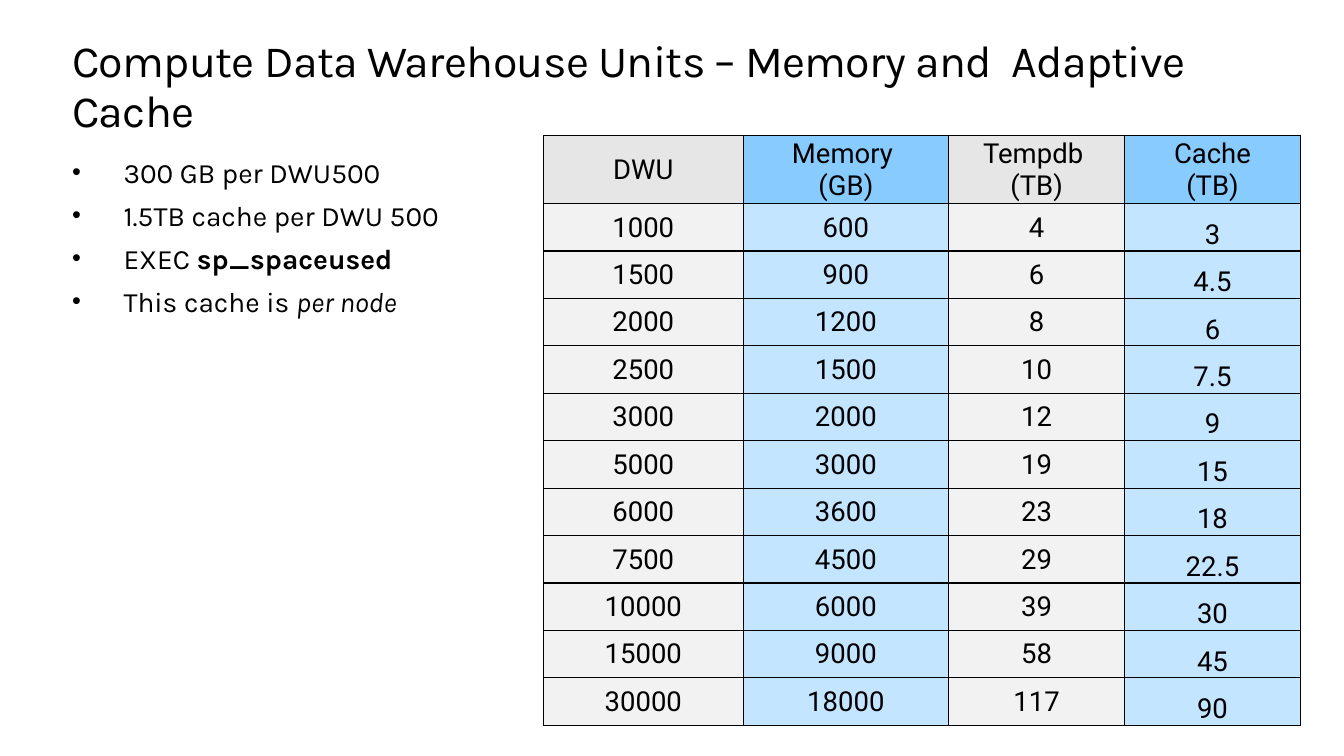
from pptx import Presentation
from pptx.dml.color import RGBColor
from pptx.enum.text import MSO_ANCHOR as Anchor, MSO_AUTO_SIZE as AutoSize, PP_ALIGN as Align
from pptx.oxml import parse_xml
from pptx.oxml.ns import nsdecls
from pptx.util import Inches, Pt

BLACK, WHITE = "000000", "FFFFFF"
HEADER_FILLS = ["E6E6E6", "88CBFF"]
BODY_FILLS = ["F2F2F2", "C3E5FF"]

TITLE = "Compute Data Warehouse Units – Memory and  Adaptive Cache"
BULLETS = [
    [("300 GB per DWU500", {})],
    [("1.5TB cache per DWU 500", {})],
    [("EXEC ", {}), ("sp_spaceused", {"bold": True})],
    [("This cache is ", {}), ("per node", {"italic": True})],
]
COLUMN_WIDTHS = [2.02, 2.08, 1.78, 1.78]
HEADER_HEIGHT, ROW_HEIGHT = 0.69, 0.48
CAPACITY = [
    ["DWU", "Memory \n(GB)", "Tempdb \n(TB)", "Cache\n(TB)"],
    ["1000", "600", "4", "3"],
    ["1500", "900", "6", "4.5"],
    ["2000", "1200", "8", "6"],
    ["2500", "1500", "10", "7.5"],
    ["3000", "2000", "12", "9"],
    ["5000", "3000", "19", "15"],
    ["6000", "3600", "23", "18"],
    ["7500", "4500", "29", "22.5"],
    ["10000", "6000", "39", "30"],
    ["15000", "9000", "58", "45"],
    ["30000", "18000", "117", "90"],
]


def color(hex_value):
    return RGBColor.from_string(hex_value)


def assign(target, values):
    for name, value in values.items():
        setattr(target, name, value)


def box(left, top, width, height):
    return dict(left=Inches(left), top=Inches(top), width=Inches(width), height=Inches(height))


def add_xml(parent, xml):
    tag_end = min(i for i in (xml.find(" "), xml.find(">"), xml.find("/>")) if i > 0)
    parent.append(parse_xml(f"{xml[:tag_end]} {nsdecls('a')}{xml[tag_end:]}"))


class SlideBuilder:
    """Holds the text style and the current slide, and adds its elements."""

    margins = dict(margin_left=0, margin_top=0, margin_right=0, margin_bottom=0)

    def __init__(self, slide):
        self.slide = slide
        self.heading = dict(name="Karla", size=Pt(32.6))
        self.body = dict(name="Karla", size=Pt(20.4))
        self.cell = dict(name="Roboto", size=Pt(20))

    def run(self, paragraph, text, style):
        run = paragraph.add_run()
        run.text = text
        assign(run.font, style)
        run.font.color.rgb = color(BLACK)
        return run

    def title(self, text, place):
        shape = self.slide.shapes.title
        assign(shape, place)
        shape.fill.solid()
        shape.fill.fore_color.rgb = color(WHITE)
        frame = shape.text_frame
        assign(frame, dict(self.margins, word_wrap=True, vertical_anchor=Anchor.TOP,
                           auto_size=AutoSize.SHAPE_TO_FIT_TEXT))
        paragraph = frame.paragraphs[0]
        assign(paragraph, dict(alignment=Align.LEFT, line_spacing=Pt(36.9)))
        run = self.run(paragraph, text, self.heading)
        run._r.get_or_add_rPr().set("spc", "-50")

    def bullets(self, items, place):
        shape = self.slide.placeholders[1]
        assign(shape, place)
        frame = shape.text_frame
        assign(frame, dict(self.margins, word_wrap=True, vertical_anchor=Anchor.TOP,
                           auto_size=AutoSize.NONE))
        for index, parts in enumerate(items):
            paragraph = frame.add_paragraph() if index else frame.paragraphs[0]
            properties = paragraph._p.get_or_add_pPr()
            properties.set("marL", str(Inches(0.52)))
            properties.set("indent", str(-Inches(0.52)))
            add_xml(properties, f'<a:buClr><a:srgbClr val="{BLACK}"/></a:buClr>')
            add_xml(properties, '<a:buSzPct val="90000"/>')
            add_xml(properties, '<a:buFont typeface="Arial"/>')
            add_xml(properties, '<a:buChar char="•"/>')
            paragraph.space_before = Pt(6.8 if index else 0)
            for text, emphasis in parts:
                self.run(paragraph, text, {**self.body, **emphasis})

    def table(self, rows, widths, heights, left, top):
        frame = self.slide.shapes.add_table(
            len(rows), len(widths), Inches(left), Inches(top),
            Inches(sum(widths)), Inches(sum(heights)))
        table = frame.table
        assign(table, dict(first_row=False, horz_banding=False))
        for column, width in zip(table.columns, widths):
            column.width = Inches(width)
        for row, height in zip(table.rows, heights):
            row.height = Inches(height)
        for r, values in enumerate(rows):
            fills = BODY_FILLS if r else HEADER_FILLS
            for c, text in enumerate(values):
                bottom = r > 0 and c == len(widths) - 1
                anchor = Anchor.BOTTOM if bottom else Anchor.MIDDLE
                self.table_cell(table.cell(r, c), text, fills[c % 2], anchor)

    def table_cell(self, cell, text, fill, anchor):
        edge = Inches(0.01)
        assign(cell, dict(margin_left=edge, margin_top=edge, margin_right=edge,
                          margin_bottom=0, vertical_anchor=anchor))
        properties = cell._tc.get_or_add_tcPr()
        for side in "LRTB":
            add_xml(properties, f'<a:ln{side} w="{Pt(1)}"><a:solidFill>'
                                f'<a:srgbClr val="{BLACK}"/></a:solidFill></a:ln{side}>')
        cell.fill.solid()
        cell.fill.fore_color.rgb = color(fill)
        frame = cell.text_frame
        for index, line in enumerate(text.split("\n")):
            paragraph = frame.add_paragraph() if index else frame.paragraphs[0]
            paragraph.alignment = Align.CENTER
            self.run(paragraph, line, self.cell)


def main():
    presentation = Presentation()
    assign(presentation, dict(slide_width=Inches(13.6), slide_height=Inches(7.65)))
    builder = SlideBuilder(presentation.slides.add_slide(presentation.slide_layouts[1]))
    builder.title(TITLE, box(0.73, 0.36, 12.14, 1.03))
    builder.bullets(BULLETS, box(0.73, 1.57, 4.22, 5.38))
    heights = [HEADER_HEIGHT] + [ROW_HEIGHT] * (len(CAPACITY) - 1)
    builder.table(CAPACITY, COLUMN_WIDTHS, heights, 5.5, 1.37)
    presentation.save("out.pptx")


if __name__ == "__main__":
    main()
